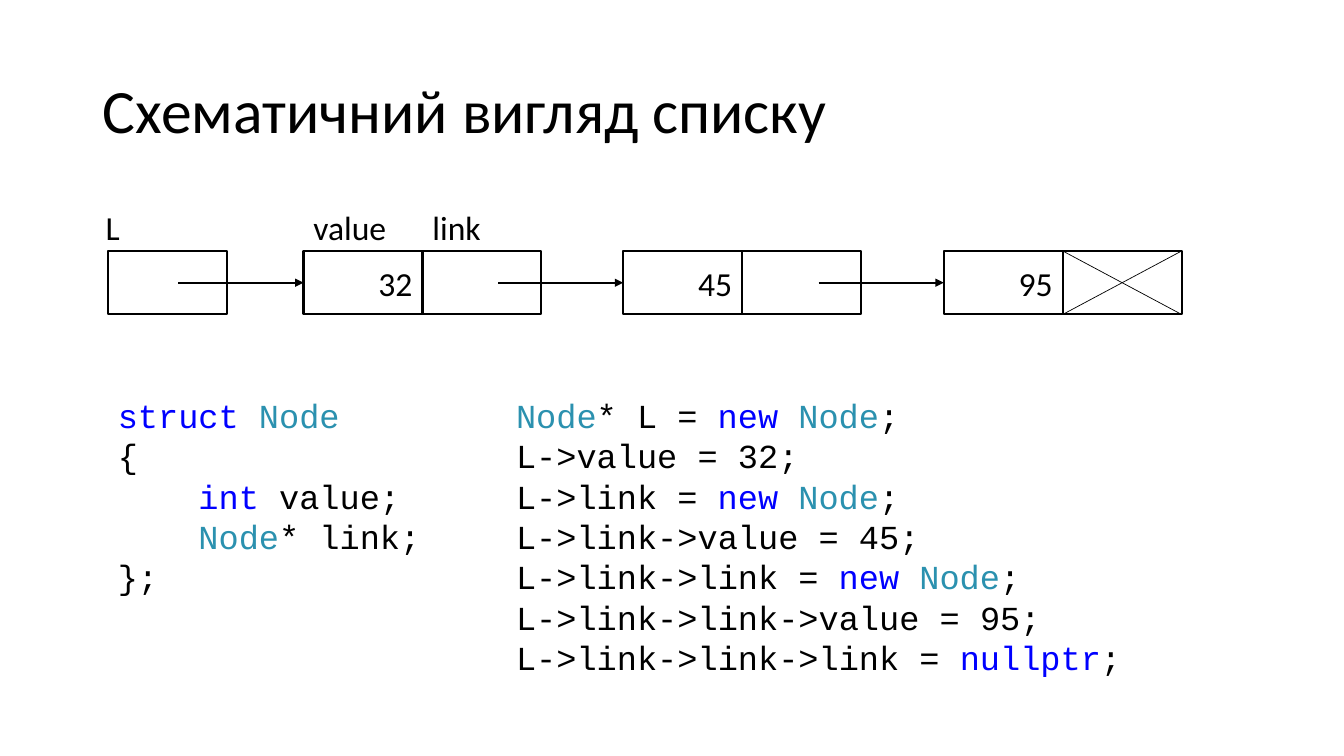
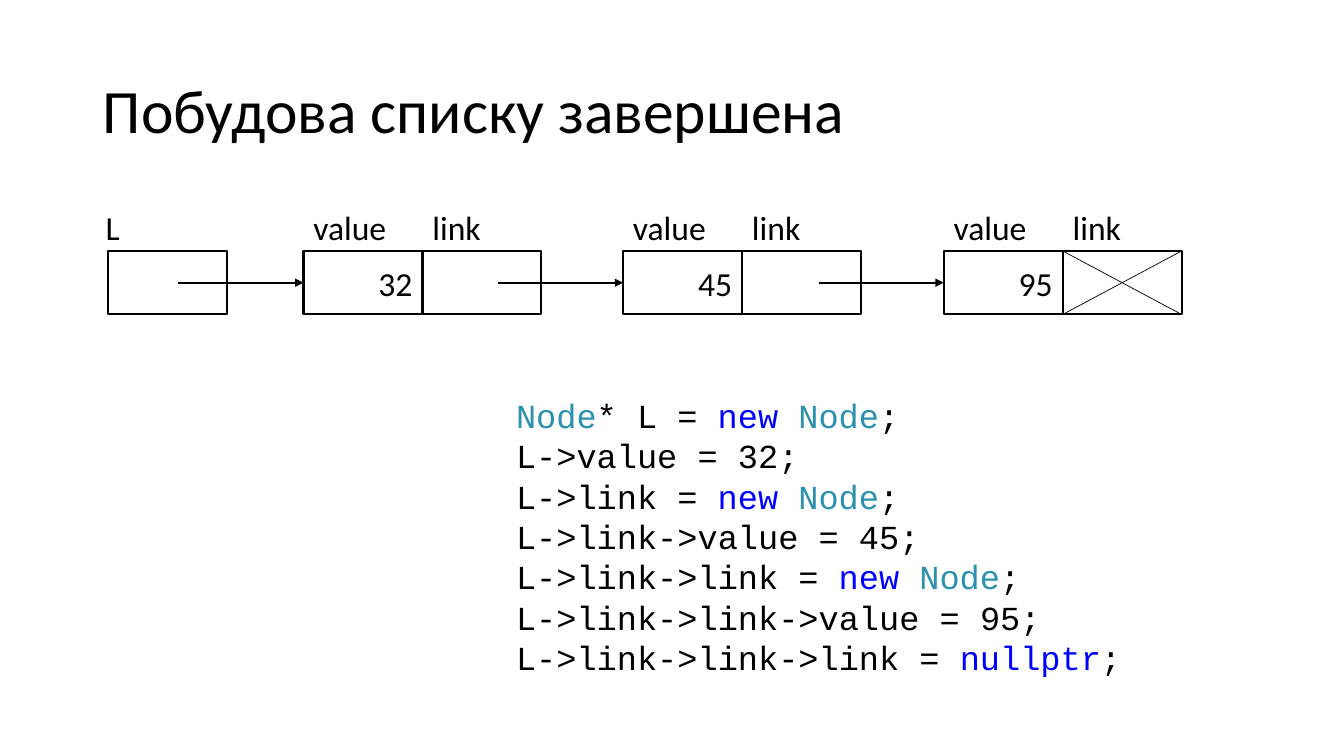
"""Build two slides that show a linked list and the code that creates it."""
from itertools import groupby

from lxml.etree import SubElement
from pptx import Presentation
from pptx.dml.color import RGBColor
from pptx.enum.shapes import MSO_CONNECTOR as Connector, MSO_SHAPE as Shape
from pptx.enum.text import MSO_ANCHOR as Anchor, MSO_AUTO_SIZE as AutoSize, PP_ALIGN as Align
from pptx.oxml.ns import qn
from pptx.util import Inches, Pt

BLACK = RGBColor(0x00, 0x00, 0x00)
BLUE = RGBColor(0x00, 0x00, 0xFF)
TEAL = RGBColor(0x2B, 0x91, 0xAF)
WORD_COLORS = {"struct": BLUE, "int": BLUE, "new": BLUE, "nullptr": BLUE, "Node": TEAL}

TEXT_FORMAT = {"name": "Calibri", "size": Pt(24)}
TITLE_FORMAT = {"name": "Calibri", "size": Pt(44)}
CODE_FORMAT = {"name": "Courier New", "size": Pt(24)}

CELL_WIDTH, CELL_HEIGHT, CELL_TOP = 1.18, 0.63, 2.49
CELL_MIDDLE = CELL_TOP + CELL_HEIGHT / 2
ARROW_LENGTH = 1.24
HEAD_LEFT = 1.07
NODES = [(3.01, "32"), (6.18, "45"), (9.36, "95")]
CODE_TOP = 3.87
CODE_INDENT = 0.8

STRUCT_CODE = """struct Node
{
    int value;
    Node* link;
};"""
BUILD_CODE = """Node* L = new Node;
L->value = 32;
L->link = new Node;
L->link->value = 45;
L->link->link = new Node;
L->link->link->value = 95;
L->link->link->link = nullptr;"""


def add_run(paragraph, text, font_format, color=BLACK):
    """Append a formatted run to a paragraph."""
    run = paragraph.add_run()
    run.text = text
    for name, value in font_format.items():
        setattr(run.font, name, value)
    run.font.color.rgb = color


def add_title(slide, text):
    """Place and format the slide title."""
    title = slide.shapes.title
    title.left, title.top, title.width, title.height = map(Inches, (0.92, 0.4, 11.5, 1.45))
    title.text_frame.vertical_anchor = Anchor.MIDDLE
    paragraph = title.text_frame.paragraphs[0]
    paragraph.alignment = Align.LEFT
    paragraph.line_spacing = 0.9
    add_run(paragraph, text, TITLE_FORMAT)


def add_text_frame(slide, left, top, width, height):
    """Add a wrapping text box that grows with its text and return its frame."""
    frame = slide.shapes.add_textbox(*map(Inches, (left, top, width, height))).text_frame
    frame.word_wrap = True
    frame.auto_size = AutoSize.SHAPE_TO_FIT_TEXT
    return frame


def add_label(slide, left, text, width):
    """Add a label above a cell."""
    frame = add_text_frame(slide, left, 2, width, 0.5)
    add_run(frame.paragraphs[0], text, TEXT_FORMAT)


def add_code(slide, left, width, height, code):
    """Add a code listing with coloured words and indented lines."""
    frame = add_text_frame(slide, left, CODE_TOP, width, height)
    for index, line in enumerate(code.splitlines()):
        paragraph = frame.add_paragraph() if index else frame.paragraphs[0]
        text = line.lstrip()
        if text != line:
            paragraph._p.get_or_add_pPr().set("marL", str(Inches(CODE_INDENT)))
        words = ["".join(group) for _, group in groupby(text, str.isalpha)]
        for color, group in groupby(words, lambda word: WORD_COLORS.get(word, BLACK)):
            add_run(paragraph, "".join(group), CODE_FORMAT, color)


def add_cell(slide, left, text=""):
    """Add an outlined memory cell with an optional value."""
    cell = slide.shapes.add_shape(
        Shape.RECTANGLE, *map(Inches, (left, CELL_TOP, CELL_WIDTH, CELL_HEIGHT)))
    cell.shadow.inherit = False
    cell.fill.background()
    cell.line.color.rgb = BLACK
    cell.line.width = Pt(1.5)
    if text:
        cell.text_frame.vertical_anchor = Anchor.MIDDLE
        paragraph = cell.text_frame.paragraphs[0]
        paragraph.alignment = Align.RIGHT
        add_run(paragraph, text, TEXT_FORMAT)
    return cell


def add_line(slide, start, end, width):
    """Add a straight black line without a shadow."""
    line = slide.shapes.add_connector(Connector.STRAIGHT, *map(Inches, start + end))
    line.line.color.rgb = BLACK
    line.line.width = Pt(width)
    SubElement(line._element.spPr, qn("a:effectLst"))
    return line


def add_arrow(slide, cell, left):
    """Add an arrow that ends at the left side of a cell."""
    arrow = add_line(slide, (left - ARROW_LENGTH, CELL_MIDDLE), (left, CELL_MIDDLE), 1.5)
    arrow.end_connect(cell, 1)
    SubElement(arrow.line._get_or_add_ln(), qn("a:tailEnd"), type="triangle")


def add_cross(slide, left):
    """Cross out a cell to mark the null link."""
    right, bottom = left + CELL_WIDTH, CELL_TOP + CELL_HEIGHT
    add_line(slide, (left, CELL_TOP), (right, bottom), 0.5)
    add_line(slide, (left, bottom), (right, CELL_TOP), 0.5)


def add_list(slide, labelled_count):
    """Draw the list and label the fields of its first nodes."""
    add_cell(slide, HEAD_LEFT)
    add_label(slide, 0.95, "L", 0.55)
    for index, (left, value) in enumerate(NODES):
        link_left = left + CELL_WIDTH
        value_cell = add_cell(slide, left, value)
        add_cell(slide, link_left)
        add_arrow(slide, value_cell, left)
        if index < labelled_count:
            add_label(slide, left, "value", 0.93)
            add_label(slide, link_left, "link", 0.81)
    add_cross(slide, link_left)


def add_list_slide(presentation, title, labelled_count):
    """Add a slide with a title, the list and the code that builds it."""
    slide = presentation.slides.add_slide(presentation.slide_layouts[5])
    add_title(slide, title)
    add_list(slide, labelled_count)
    add_code(slide, 5.02, 6.7, 2.93, BUILD_CODE)
    return slide


def main():
    """Build and save the presentation."""
    presentation = Presentation()
    presentation.slide_width, presentation.slide_height = Inches(13.33), Inches(7.5)
    scheme_slide = add_list_slide(presentation, "Схематичний вигляд списку", 1)
    add_code(scheme_slide, HEAD_LEFT, 3.93, 2.12, STRUCT_CODE)
    add_list_slide(presentation, "Побудова списку завершена", len(NODES))
    presentation.save("out.pptx")


if __name__ == "__main__":
    main()
